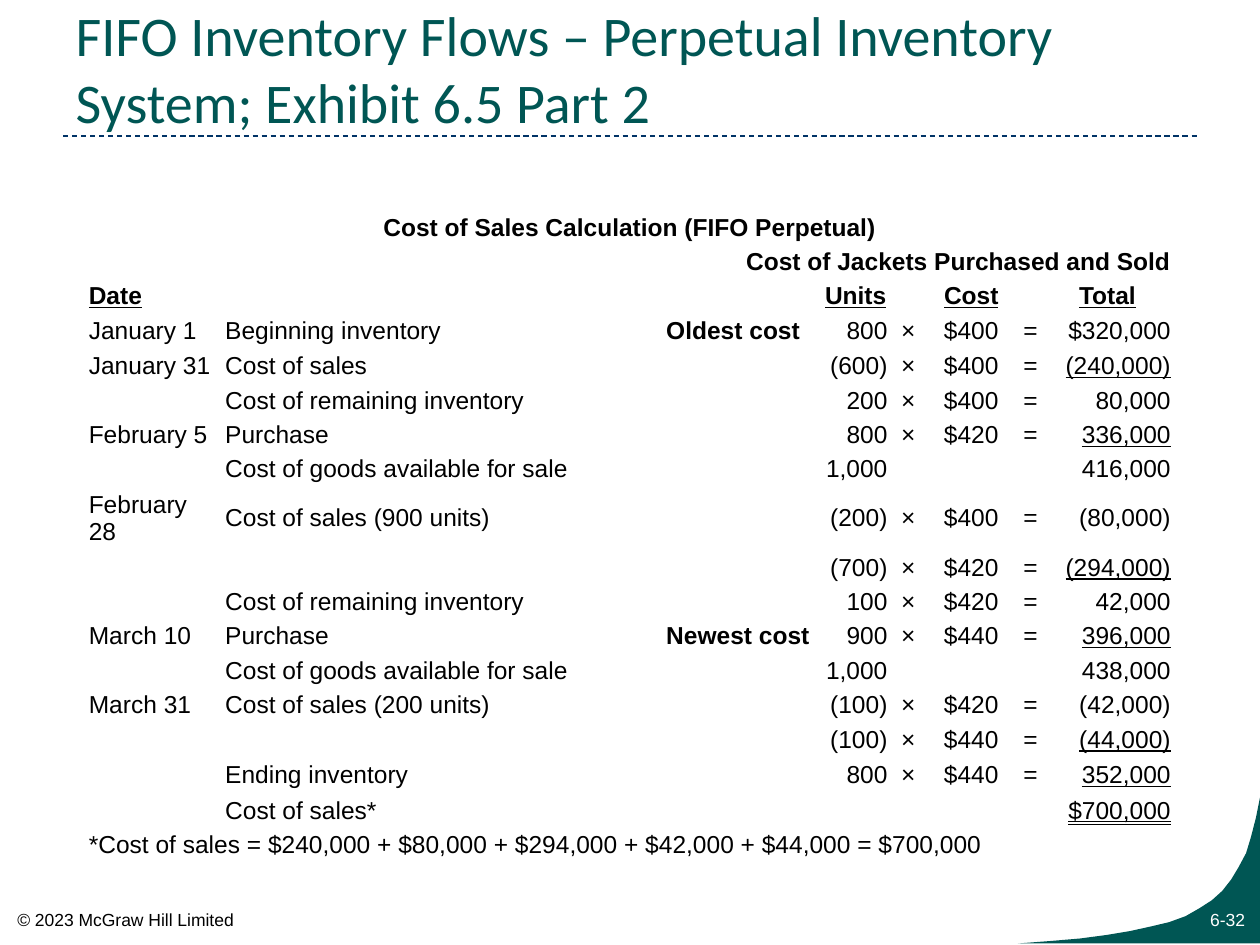
"""Build the FIFO perpetual inventory slide with its cost of sales table."""
import lxml.etree
import pptx
import pptx.dml.color
import pptx.enum.dml
import pptx.enum.shapes
import pptx.enum.text
import pptx.oxml.ns
import pptx.util

Cm, Pt = pptx.util.Cm, pptx.util.Pt
LEFT, CENTER, RIGHT = (getattr(pptx.enum.text.PP_ALIGN, n) for n in ("LEFT", "CENTER", "RIGHT"))
MIDDLE = pptx.enum.text.MSO_ANCHOR.MIDDLE
SINGLE = pptx.enum.text.MSO_UNDERLINE.SINGLE_LINE
DOUBLE = pptx.enum.text.MSO_UNDERLINE.DOUBLE_LINE
COLORS = {"teal": "005654", "navy": "003366", "black": "000000", "white": "FFFFFF"}

COLUMNS = [2.75, 8.89, 3.18, 1.48, 0.64, 1.9, 0.42, 2.75]
ALIGNS = [LEFT, LEFT, LEFT, RIGHT, CENTER, CENTER, LEFT, RIGHT]
HEIGHTS = [0.36, 0.36, 0.36, 0.71, 0.64, 0.51, 0.64, 0.48, 0.56,
           0.64, 0.56, 0.64, 0.56, 0.61, 0.36, 0.74, 0.64, 0.36]
HEADINGS = {0: "Date", 3: "Units", 5: "Cost", 7: "Total"}
FLOWS = [
    ("January 1", "Beginning inventory", "Oldest cost", "800", "$400", "$320,000", None),
    ("January 31", "Cost of sales", "", "(600)", "$400", "(240,000)", SINGLE),
    ("", "Cost of remaining inventory", "", "200", "$400", "80,000", None),
    ("February 5", "Purchase", "", "800", "$420", "336,000", SINGLE),
    ("", "Cost of goods available for sale", "", "1,000", "", "416,000", None),
    ("February 28", "Cost of sales (900 units)", "", "(200)", "$400", "(80,000)", None),
    ("", "", "", "(700)", "$420", "(294,000)", SINGLE),
    ("", "Cost of remaining inventory", "", "100", "$420", "42,000", None),
    ("March 10", "Purchase", "Newest cost", "900", "$440", "396,000", SINGLE),
    ("", "Cost of goods available for sale", "", "1,000", "", "438,000", None),
    ("March 31", "Cost of sales (200 units)", "", "(100)", "$420", "(42,000)", None),
    ("", "", "", "(100)", "$440", "(44,000)", SINGLE),
    ("", "Ending inventory", "", "800", "$440", "352,000", SINGLE),
    ("", "Cost of sales*", "", "", "", "$700,000", DOUBLE),
]
CORNER = [(25.4, 16.08), (25.4, 19.02), (20.52, 19.02), (21.18, 18.97), (21.77, 18.92),
          (22.3, 18.85), (22.78, 18.77), (23.19, 18.68), (23.57, 18.59), (23.9, 18.47),
          (24.18, 18.31), (24.43, 18.15), (24.64, 17.96), (24.82, 17.73), (24.97, 17.48),
          (25.12, 17.2), (25.22, 16.87), (25.32, 16.48)]


def rgb(name):
    return pptx.dml.color.RGBColor.from_string(COLORS[name])


class Deck:
    def __init__(self, prs):
        self.slide = prs.slides.add_slide(prs.slide_layouts[5])
        self.font = "Arial"

    def run(self, p, text, size, color="black", font=None, bold=False, underline=None):
        r = p.add_run()
        r.text = text
        r.font.name = font or self.font
        r.font.size = Pt(size)
        r.font.bold = bold
        r.font.underline = underline
        r.font.color.rgb = rgb(color)

    def title(self, text, x, y, w, h):
        sp = self.slide.shapes.title
        sp.left, sp.top, sp.width, sp.height = Cm(x), Cm(y), Cm(w), Cm(h)
        tf = sp.text_frame
        tf.auto_size = pptx.enum.text.MSO_AUTO_SIZE.NONE
        tf.vertical_anchor = pptx.enum.text.MSO_ANCHOR.BOTTOM
        p = tf.paragraphs[0]
        p.alignment = LEFT
        self.run(p, text, 32, "teal", "Calibri")

    def text(self, text, x, y, w, h, color="black", align=LEFT, wrap=True):
        tf = self.slide.shapes.add_textbox(Cm(x), Cm(y), Cm(w), Cm(h)).text_frame
        tf.word_wrap = wrap
        p = tf.paragraphs[0]
        p.alignment = align
        self.run(p, text, 10, color)

    def rule(self, x1, x2, y):
        sp = self.slide.shapes.add_connector(
            pptx.enum.shapes.MSO_CONNECTOR.STRAIGHT, Cm(x1), Cm(y), Cm(x2), Cm(y))
        sp.line.color.rgb = rgb("navy")
        sp.line.width = Pt(0.75)
        sp.line.dash_style = pptx.enum.dml.MSO_LINE.DASH
        lxml.etree.SubElement(sp._element.spPr, pptx.oxml.ns.qn("a:effectLst"))

    def outline(self, points):
        start, *rest = [(Cm(x), Cm(y)) for x, y in points]
        fb = self.slide.shapes.build_freeform(*start)
        fb.add_line_segments(rest)
        sp = fb.convert_to_shape()
        sp.shadow.inherit = False
        sp.fill.solid()
        sp.fill.fore_color.rgb = rgb("teal")
        sp.line.fill.background()

    def table(self, x, y, widths, heights):
        gf = self.slide.shapes.add_table(len(heights), len(widths), Cm(x), Cm(y),
                                         Cm(sum(widths)), Cm(sum(heights)))
        tbl = gf.table
        tbl.first_row = tbl.horz_banding = False
        for col, width in zip(tbl.columns, widths):
            col.width = Cm(width)
        for row, height in zip(tbl.rows, heights):
            row.height = Cm(height)
        for cell in tbl.iter_cells():
            cell.fill.background()
            cell.vertical_anchor = MIDDLE
            cell.margin_left = cell.margin_right = Cm(0.1)
            cell.margin_top = cell.margin_bottom = Cm(0.05)
            p = cell.text_frame.paragraphs[0]
            lxml.etree.SubElement(p._p, pptx.oxml.ns.qn("a:endParaRPr"), sz="1400")
        gf.height = Cm(12.37)
        return tbl

    def cell(self, tbl, row, col, text, align, **style):
        p = tbl.cell(row, col).text_frame.paragraphs[0]
        p.alignment = align
        self.run(p, text, 14, **style)

    def banner(self, tbl, row, text, align, **style):
        tbl.cell(row, 0).merge(tbl.cell(row, len(tbl.columns) - 1))
        self.cell(tbl, row, 0, text, align, **style)


def main():
    prs = pptx.Presentation()
    prs.slide_width, prs.slide_height = Cm(25.4), Cm(19.05)
    deck = Deck(prs)
    deck.rule(1.27, 24.13, 2.74)
    deck.outline(CORNER)
    deck.text("6-32", 22.86, 18.19, 2.49, 0.69, "white", RIGHT)
    deck.text("© 2023 McGraw Hill Limited", 0.1, 18.21, 4.93, 0.69, wrap=False)
    deck.title("FIFO Inventory Flows – Perpetual Inventory System; Exhibit 6.5 Part 2",
               1.27, 0.64, 22.86, 2.21)

    tbl = deck.table(1.69, 4.24, COLUMNS, HEIGHTS)
    deck.banner(tbl, 0, "Cost of Sales Calculation (FIFO Perpetual)", CENTER, bold=True)
    deck.banner(tbl, 1, "Cost of Jackets Purchased and Sold", RIGHT, bold=True)
    for col, text in HEADINGS.items():
        deck.cell(tbl, 2, col, text, CENTER if col else LEFT, bold=True, underline=SINGLE)
    for row, (date, item, note, units, cost, total, underline) in enumerate(FLOWS, 3):
        times, equals = ("×", "=") if cost else ("", "")
        values = [date, item, note, units, times, cost, equals, total]
        for col, (text, align) in enumerate(zip(values, ALIGNS)):
            if text:
                deck.cell(tbl, row, col, text, align, bold=col == 2,
                          underline=underline if col == 7 else None)
    deck.banner(tbl, len(HEIGHTS) - 1,
                "*Cost of sales = $240,000 + $80,000 + $294,000 + $42,000 + $44,000 = $700,000", LEFT)
    prs.save("out.pptx")


if __name__ == "__main__":
    main()
